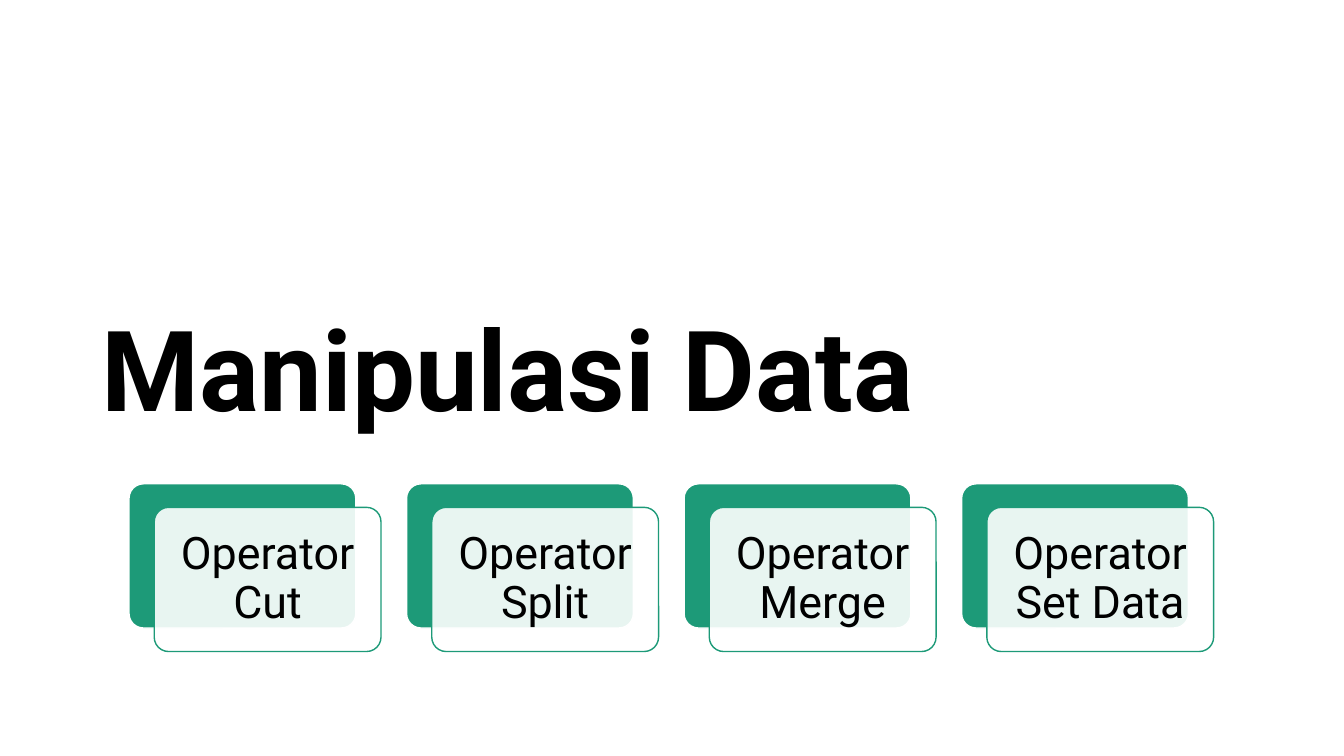
from dataclasses import dataclass

from lxml import etree
from pptx import Presentation
from pptx.dml.color import RGBColor
from pptx.enum.shapes import MSO_SHAPE
from pptx.enum.text import MSO_ANCHOR, MSO_AUTO_SIZE, PP_ALIGN
from pptx.oxml.ns import qn
from pptx.shapes.autoshape import Shape
from pptx.shapes.shapetree import GroupShapes
from pptx.text.text import TextFrame
from pptx.util import Pt

ROUNDED = MSO_SHAPE.ROUNDED_RECTANGLE
CENTER, LEFT = PP_ALIGN.CENTER, PP_ALIGN.LEFT
MIDDLE, BOTTOM = MSO_ANCHOR.MIDDLE, MSO_ANCHOR.BOTTOM
NO_AUTOFIT = MSO_AUTO_SIZE.NONE

FONT = "Roboto"
GREEN, WHITE, BLACK = "1D9A78", "FFFFFF", "000000"
CARD_WIDTH, CARD_HEIGHT = 162, 103
FIRST_LEFT, CARD_TOP, CARD_STEP = 92.16, 345.6, 198.24
FRONT_SHIFT_X, FRONT_SHIFT_Y = 18, 16.8
CARD_INSET = 9.6


@dataclass(frozen=True)
class OperatorCard:
    label: str
    left: float


def color(value: str) -> RGBColor:
    return RGBColor.from_string(value)


def write_text(frame: TextFrame, text: str, size: float, bold: bool,
               alignment: PP_ALIGN, anchor: MSO_ANCHOR) -> None:
    frame.word_wrap = True
    frame.auto_size = NO_AUTOFIT
    frame.vertical_anchor = anchor
    frame.text = text
    paragraph = frame.paragraphs[0]
    paragraph.alignment = alignment
    paragraph.line_spacing = 0.9
    paragraph.space_before = Pt(0)
    paragraph.font.name = FONT
    paragraph.font.size = Pt(size)
    paragraph.font.bold = bold
    paragraph.font.color.rgb = color(BLACK)


def add_panel(shapes: GroupShapes, left: float, top: float,
              fill: str, line: str) -> Shape:
    panel = shapes.add_shape(ROUNDED, Pt(left), Pt(top),
                             Pt(CARD_WIDTH), Pt(CARD_HEIGHT))
    panel.adjustments[0] = 0.1
    panel.shadow.inherit = False
    panel.fill.solid()
    panel.fill.fore_color.rgb = color(fill)
    panel.line.color.rgb = color(line)
    panel.line.width = Pt(1)
    return panel


def set_opacity(panel: Shape, percent: int) -> None:
    fill_color = panel.fill._xPr.find(qn("a:solidFill"))[0]
    etree.SubElement(fill_color, qn("a:alpha")).set("val", str(percent * 1000))


def add_card(shapes: GroupShapes, card: OperatorCard) -> None:
    add_panel(shapes, card.left, CARD_TOP, GREEN, WHITE)
    front = add_panel(shapes, card.left + FRONT_SHIFT_X,
                      CARD_TOP + FRONT_SHIFT_Y, WHITE, GREEN)
    set_opacity(front, 90)
    frame = front.text_frame
    frame.margin_left = frame.margin_right = Pt(CARD_INSET)
    frame.margin_top = frame.margin_bottom = Pt(CARD_INSET)
    write_text(frame, card.label, 32, False, CENTER, MIDDLE)


def main() -> None:
    presentation = Presentation()
    presentation.slide_width, presentation.slide_height = Pt(960), Pt(540)
    slide = presentation.slides.add_slide(
        presentation.slide_layouts.get_by_name("Title Only"))

    heading = slide.shapes.title
    heading.left, heading.top = Pt(65.5), Pt(134.64)
    heading.width, heading.height = Pt(828), Pt(180)
    write_text(heading.text_frame, "Manipulasi Data", 80, True, LEFT, BOTTOM)

    labels = ("Operator Cut", "Operator Split", "Operator Merge",
              "Operator Set Data")
    operators = slide.shapes.add_group_shape()
    for index, label in enumerate(labels):
        add_card(operators.shapes,
                 OperatorCard(label, FIRST_LEFT + index * CARD_STEP))

    presentation.save("out.pptx")


if __name__ == "__main__":
    main()
